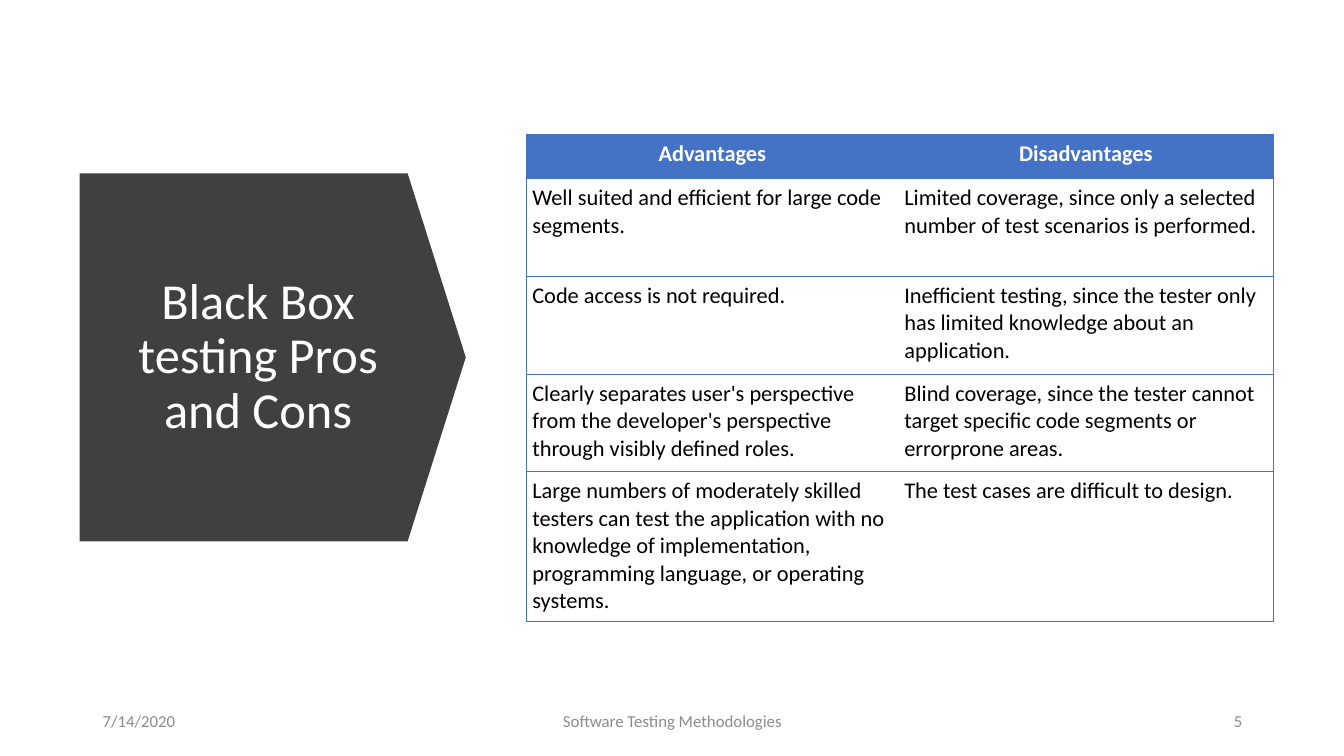
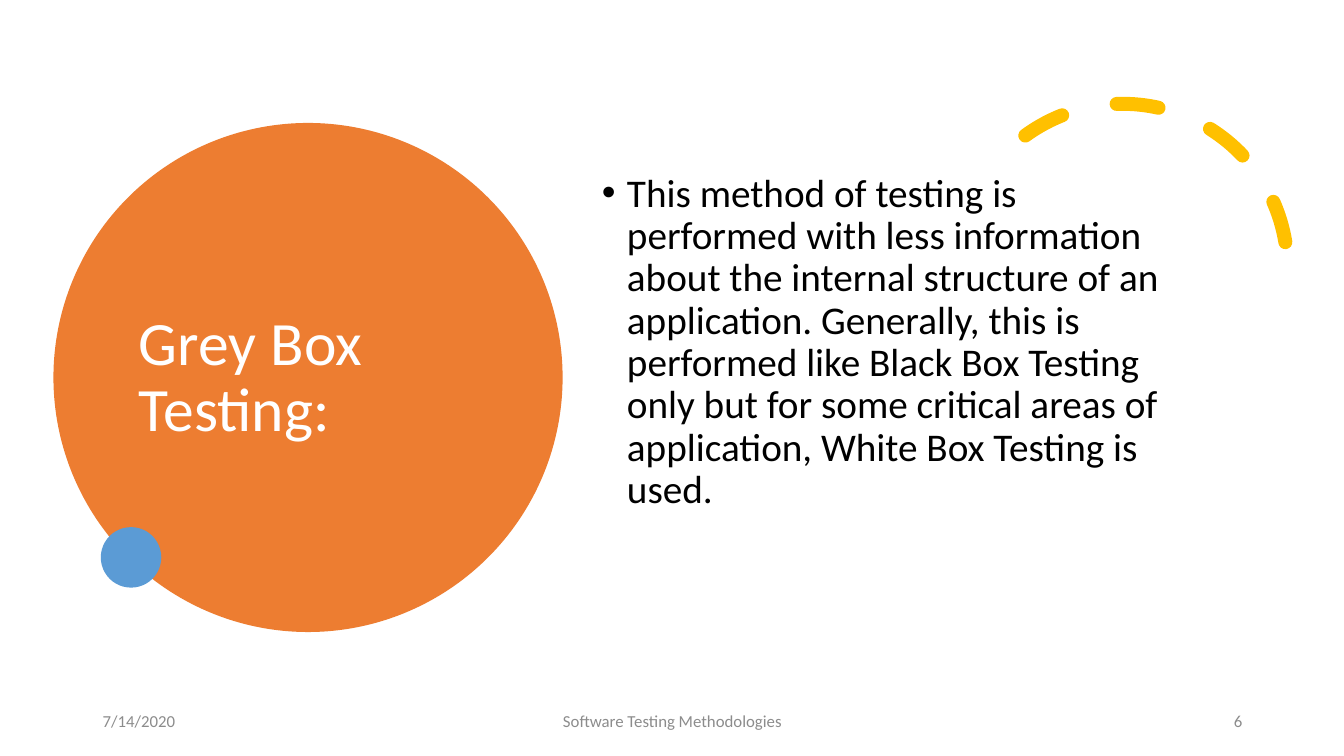
import pptx
import pptx.util
import pptx.dml.color
import pptx.enum.dml
import pptx.enum.shapes
import pptx.enum.text
import pptx.oxml
import pptx.oxml.ns
from lxml import etree

Inches = pptx.util.Inches
Pt = pptx.util.Pt
SHAPE = pptx.enum.shapes.MSO_SHAPE
ALIGN = pptx.enum.text.PP_ALIGN
ANCHOR = pptx.enum.text.MSO_ANCHOR

FONT = "Calibri"
WHITE, BLACK, GREY, CHARCOAL = "FFFFFF", "000000", "8C8C8C", "404040"
BLUE, ORANGE, YELLOW, SKY = "4472C4", "ED7D31", "FFC000", "5B9BD5"

DATE = "7/14/2020"
DECK_NAME = "Software Testing Methodologies"
FIRST_NUMBER = 5

PROS_CONS_TITLE = "Black Box testing Pros and Cons"
PROS_CONS = [
    ("Advantages", "Disadvantages"),
    ("Well suited and efficient for large code segments.",
     "Limited coverage, since only a selected number of test scenarios is performed."),
    ("Code access is not required.",
     "Inefficient testing, since the tester only has limited knowledge about an application."),
    ("Clearly separates user's perspective from the developer's perspective "
     "through visibly defined roles.",
     "Blind coverage, since the tester cannot target specific code segments or errorprone areas."),
    ("Large numbers of moderately skilled testers can test the application with no knowledge of "
     "implementation, programming language, or operating systems.",
     "The test cases are difficult to design."),
]
COLUMN_WIDTHS = [3.69, 3.72]
ROW_HEIGHTS = [0.44, 0.97, 0.97, 0.97, 1.49]

GREY_BOX_TITLE = "Grey Box Testing:"
GREY_BOX_TEXT = (
    "This method of testing is performed with less information about the internal structure of "
    "an application. Generally, this is performed like Black Box Testing only but for some "
    "critical areas of application, White Box Testing is used."
)


def rgb(value):
    return pptx.dml.color.RGBColor.from_string(value)


def box(place):
    return [Inches(length) for length in place]


def write(frame, text, size=16, color=BLACK, bold=False, align=ALIGN.LEFT,
          anchor=ANCHOR.TOP, spacing=None, before=None, bullet=None):
    frame.word_wrap = True
    frame.vertical_anchor = anchor
    paragraph = frame.paragraphs[0]
    paragraph.alignment = align
    paragraph.line_spacing = spacing
    if before is not None:
        paragraph.space_before = Pt(before)
    run = paragraph.add_run()
    run.text = text
    run.font.name = FONT
    run.font.size = Pt(size)
    run.font.bold = bold
    run.font.color.rgb = rgb(color)
    if bullet:
        properties = paragraph._p.get_or_add_pPr()
        properties.set("marL", str(Inches(0.25)))
        properties.set("indent", str(-Inches(0.25)))
        etree.SubElement(properties, pptx.oxml.ns.qn("a:buFont")).set("typeface", "Arial")
        etree.SubElement(properties, pptx.oxml.ns.qn("a:buChar")).set("char", bullet)


def add_text(slide, place, text, **style):
    write(slide.shapes.add_textbox(*box(place)).text_frame, text, **style)


def add_title(slide, place, text, **style):
    add_text(slide, place, text, color=WHITE, anchor=ANCHOR.MIDDLE, spacing=0.9, **style)


def add_figure(slide, kind, place, fill=None):
    figure = slide.shapes.add_shape(kind, *box(place))
    figure.shadow.inherit = False
    figure.line.fill.background()
    if fill:
        figure.fill.solid()
        figure.fill.fore_color.rgb = rgb(fill)
    else:
        figure.fill.background()
    return figure


def add_footer(slide, number):
    parts = [
        (0.92, 3, DATE, ALIGN.LEFT),
        (4.42, 4.5, DECK_NAME, ALIGN.CENTER),
        (9.42, 3, str(number), ALIGN.RIGHT),
    ]
    for left, width, text, align in parts:
        add_text(slide, (left, 6.95, width, 0.4), text, size=12, color=GREY,
                 align=align, anchor=ANCHOR.MIDDLE)


def set_borders(cell, visible):
    properties = cell._tc.get_or_add_tcPr()
    for position, side in enumerate("LRTB"):
        line = etree.Element(pptx.oxml.ns.qn("a:ln" + side))
        if side in visible:
            line.set("w", str(Pt(0.5)))
            fill = etree.SubElement(line, pptx.oxml.ns.qn("a:solidFill"))
            etree.SubElement(fill, pptx.oxml.ns.qn("a:srgbClr")).set("val", BLUE)
        else:
            etree.SubElement(line, pptx.oxml.ns.qn("a:noFill"))
        properties.insert(position, line)


def add_pros_cons_table(slide):
    place = (5.22, 1.33, sum(COLUMN_WIDTHS), sum(ROW_HEIGHTS))
    table = slide.shapes.add_table(len(PROS_CONS), len(COLUMN_WIDTHS), *box(place)).table
    table.first_row = table.horz_banding = False
    for column, width in zip(table.columns, COLUMN_WIDTHS):
        column.width = Inches(width)
    for r, (texts, height) in enumerate(zip(PROS_CONS, ROW_HEIGHTS)):
        table.rows[r].height = Inches(height)
        header = r == 0
        for c, text in enumerate(texts):
            cell = table.cell(r, c)
            cell.margin_left = cell.margin_right = Inches(0.06)
            cell.margin_top = cell.margin_bottom = Inches(0.06)
            if header:
                cell.fill.solid()
                cell.fill.fore_color.rgb = rgb(BLUE)
                write(cell.text_frame, text, color=WHITE, bold=True, align=ALIGN.CENTER)
            else:
                cell.fill.background()
                write(cell.text_frame, text)
            set_borders(cell, "TB" + "LR"[c])


def build_pros_cons(slide):
    banner = add_figure(slide, SHAPE.DOWN_ARROW, (0.88, 1.63, 3.65, 3.83), CHARCOAL)
    banner.adjustments[0] = 1
    banner.adjustments[1] = 0.158
    banner.rotation = 270
    add_title(slide, (1.12, 2.15, 2.88, 2.79), PROS_CONS_TITLE, size=36, align=ALIGN.CENTER)
    add_pros_cons_table(slide)


def build_grey_box(slide):
    add_figure(slide, SHAPE.OVAL, (0.53, 1.22, 5.05, 5.05), ORANGE)
    add_title(slide, (1.28, 1.53, 3.54, 4.45), GREY_BOX_TITLE, size=44)
    dashes = add_figure(slide, SHAPE.ARC, (9.5, 1.03, 3.27, 3.27))
    dashes.adjustments[0] = 158.17
    dashes.adjustments[1] = 17.81
    dashes.rotation = 330.2
    dashes.line.color.rgb = rgb(YELLOW)
    dashes.line.width = Pt(10)
    dashes.line.dash_style = pptx.enum.dml.MSO_LINE.DASH
    dashes.line._get_or_add_ln().set("cap", "rnd")
    add_figure(slide, SHAPE.OVAL, (1, 5.23, 0.6, 0.6), SKY)
    add_text(slide, (5.87, 1.67, 6.05, 4.3), GREY_BOX_TEXT, size=28,
             spacing=0.9, before=10, bullet="•")


def main():
    deck = pptx.Presentation()
    deck.slide_width = Inches(13.33)
    deck.slide_height = Inches(7.5)
    for number, build in enumerate((build_pros_cons, build_grey_box), FIRST_NUMBER):
        slide = deck.slides.add_slide(deck.slide_layouts[6])
        build(slide)
        add_footer(slide, number)
    deck.save("out.pptx")


if __name__ == "__main__":
    main()
